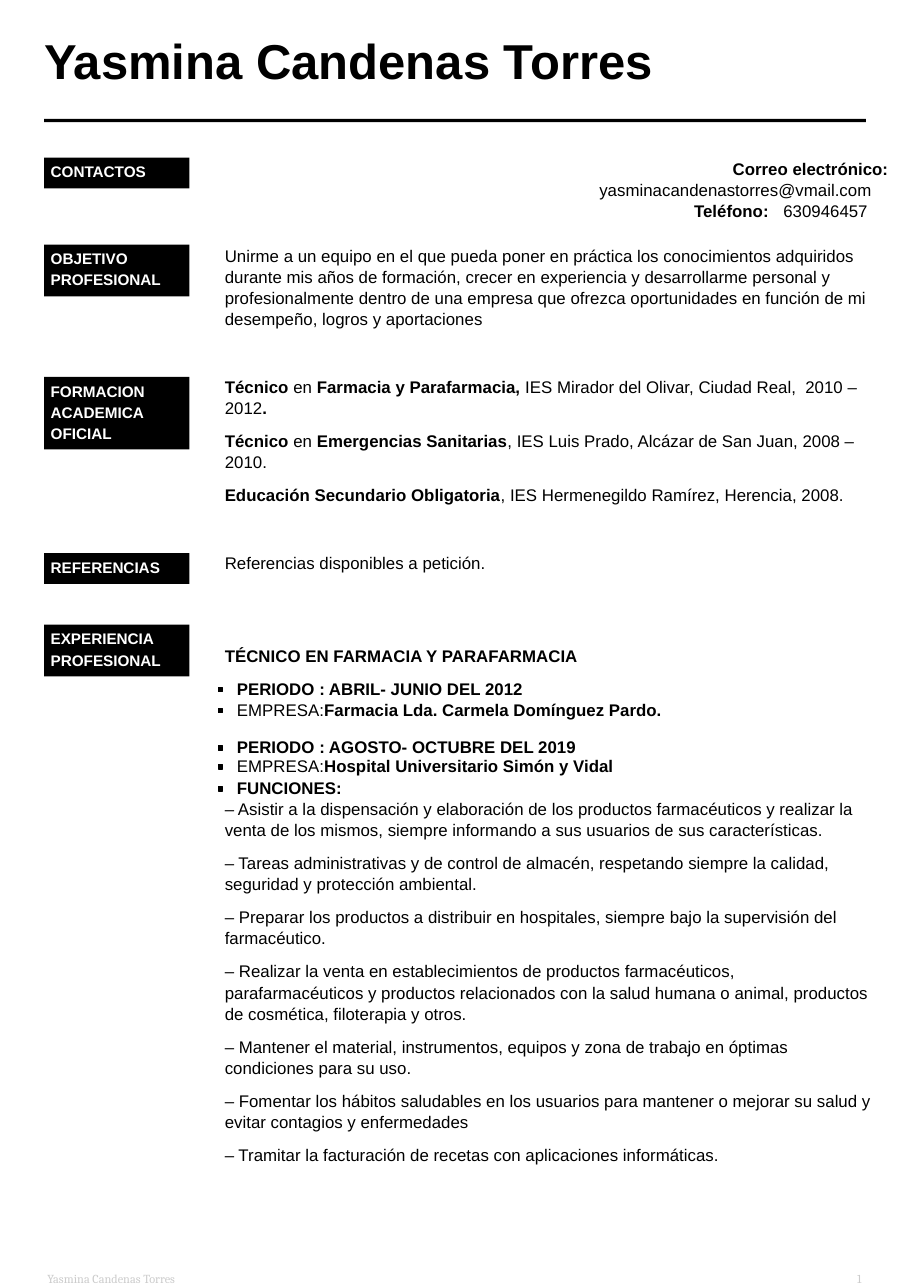
"""Builds a one-page curriculum vitae with section labels, text and bulleted jobs."""
from dataclasses import dataclass
from typing import Any, Optional

from pptx import Presentation
from pptx import util as u
from pptx.dml import color
from pptx.enum import shapes, text

PX = 9144


@dataclass(frozen=True)
class Style:
    size: int
    rgb: str
    font: str = "Arial"
    line: Optional[float] = None
    after: float = 0


@dataclass(frozen=True)
class Theme:
    ink: str = "000000"
    title: Style = Style(32, "000000")
    label: Style = Style(10, "FFFFFF", line=13.8)
    body: Style = Style(11, "000000", line=13.8, after=7.8)
    footer: Style = Style(8, "CCCCCC", "Cambria")


@dataclass(frozen=True)
class Label:
    y: int
    lines: tuple[str, ...]


@dataclass(frozen=True)
class Block:
    x: int
    y: int
    w: int
    style: Style
    paras: tuple[str, ...]


THEME = Theme()
LEFT, BODY_X, BODY_W = 40, 204, 588
LINE_H, LABEL_W, LABEL_PAD = 19, 132, 9
BULLET_X, BULLET_TEXT_X, BULLET_SIZE, BULLET_DROP = 198, 215, 4, 9

LABELS = (
    Label(143, ("CONTACTOS",)),
    Label(222, ("OBJETIVO", "PROFESIONAL")),
    Label(342, ("FORMACION", "ACADEMICA", "OFICIAL")),
    Label(502, ("REFERENCIAS",)),
    Label(567, ("EXPERIENCIA", "PROFESIONAL")),
)

BLOCKS = (
    Block(LEFT, 28, 560, THEME.title, ("*Yasmina Candenas Torres*",)),
    Block(665, 143, 150, THEME.body, ("*Correo electrónico:*",)),
    Block(544, 162, 260, THEME.body, ("yasminacandenastorres@vmail.com",)),
    Block(630, 181, 75, THEME.body, ("*Teléfono:*",)),
    Block(711, 181, 90, THEME.body, ("630946457",)),
    Block(BODY_X, 222, BODY_W, THEME.body, (
        "Unirme a un equipo en el que pueda poner en práctica los conocimientos adquiridos "
        "durante mis años de formación, crecer en experiencia y desarrollarme personal y "
        "profesionalmente dentro de una empresa que ofrezca oportunidades en función de mi "
        "desempeño, logros y aportaciones",
    )),
    Block(BODY_X, 341, BODY_W, THEME.body, (
        "*Técnico* en *Farmacia y Parafarmacia,* IES Mirador del Olivar, Ciudad Real,  2010 – 2012*.*",
        "*Técnico* en *Emergencias Sanitarias*, IES Luis Prado, Alcázar de San Juan, 2008 – 2010.",
        "*Educación Secundario Obligatoria*, IES Hermenegildo Ramírez, Herencia, 2008.",
    )),
    Block(BODY_X, 501, BODY_W, THEME.body, ("Referencias disponibles a petición.",)),
    Block(BODY_X, 585, BODY_W, THEME.body, ("*TÉCNICO EN FARMACIA Y PARAFARMACIA*",)),
    Block(BODY_X, 724, BODY_W, THEME.body, (
        "– Asistir a la dispensación y elaboración de los productos farmacéuticos y realizar la "
        "venta de los mismos, siempre informando a sus usuarios de sus características.",
        "– Tareas administrativas y de control de almacén, respetando siempre la calidad, "
        "seguridad y protección ambiental.",
        "– Preparar los productos a distribuir en hospitales, siempre bajo la supervisión del "
        "farmacéutico.",
        "– Realizar la venta en establecimientos de productos farmacéuticos, parafarmacéuticos "
        "y productos relacionados con la salud humana o animal, productos de cosmética, "
        "filoterapia y otros.",
        "– Mantener el material, instrumentos, equipos y zona de trabajo en óptimas condiciones "
        "para su uso.",
        "– Fomentar los hábitos saludables en los usuarios para mantener o mejorar su salud y "
        "evitar contagios y enfermedades",
        "– Tramitar la facturación de recetas con aplicaciones informáticas.",
    )),
    Block(43, 1154, 150, THEME.footer, ("Yasmina Candenas Torres",)),
    Block(778, 1154, 20, THEME.footer, ("1",)),
)

BULLETS = (
    (615, "*PERIODO : ABRIL- JUNIO DEL 2012*"),
    (634, "EMPRESA:*Farmacia Lda. Carmela Domínguez Pardo.*"),
    (668, "*PERIODO : AGOSTO- OCTUBRE DEL 2019*"),
    (685, "EMPRESA:*Hospital Universitario Simón y Vidal*"),
    (705, "*FUNCIONES:*"),
)


def px(*values: int) -> list[u.Emu]:
    """Turn px lengths into EMU."""
    return [u.Emu(v * PX) for v in values]


def assign(target: Any, values: dict[str, Any]) -> None:
    """Set each named attribute on the target."""
    for name, value in values.items():
        setattr(target, name, value)


def write(tf: Any, paras: tuple[str, ...], style: Style, left: int = 0, top: int = 0) -> None:
    """Fill a text frame; words between asterisks are bold."""
    margin_left, margin_top = px(left, top)
    assign(tf, {"word_wrap": True, "auto_size": text.MSO_AUTO_SIZE.NONE,
                "vertical_anchor": text.MSO_ANCHOR.TOP,
                "margin_left": margin_left, "margin_top": margin_top,
                "margin_right": 0, "margin_bottom": 0})
    for i, para in enumerate(paras):
        p = tf.add_paragraph() if i else tf.paragraphs[0]
        assign(p, {"alignment": text.PP_ALIGN.LEFT, "space_after": u.Pt(style.after),
                   "line_spacing": u.Pt(style.line) if style.line else None})
        for j, part in enumerate(para.split("*")):
            if part:
                r = p.add_run()
                r.text = part
                assign(r.font, {"name": style.font, "size": u.Pt(style.size), "bold": j % 2 == 1})
                r.font.color.rgb = color.RGBColor.from_string(style.rgb)


def add_box(s: Any, x: int, y: int, w: int, h: int, outline: float = 0) -> Any:
    """Draw a solid rectangle in the ink colour."""
    sp = s.shapes.add_shape(shapes.MSO_SHAPE.RECTANGLE, *px(x, y, w, h))
    sp.shadow.inherit = False
    ink = color.RGBColor.from_string(THEME.ink)
    sp.fill.solid()
    sp.fill.fore_color.rgb = ink
    if outline:
        sp.line.color.rgb = ink
        sp.line.width = u.Pt(outline)
    else:
        sp.line.fill.background()
    return sp


def add_label(s: Any, label: Label) -> None:
    """Draw a section label sized to its lines."""
    sp = add_box(s, LEFT, label.y, LABEL_W, LABEL_PAD + LINE_H * len(label.lines))
    write(sp.text_frame, tuple(f"*{line}*" for line in label.lines), THEME.label, 6, 2)


def add_block(s: Any, block: Block) -> None:
    """Place a block of paragraphs."""
    h = LINE_H * len(block.paras)
    sp = s.shapes.add_textbox(*px(block.x, block.y, block.w, h))
    write(sp.text_frame, block.paras, block.style)


def main() -> None:
    """Build and save the page."""
    prs = Presentation()
    prs.slide_width, prs.slide_height = px(826, 1169)
    s = prs.slides.add_slide(prs.slide_layouts[6])
    add_box(s, LEFT, 108, 746, 3)
    for label in LABELS:
        add_label(s, label)
    for block in BLOCKS:
        add_block(s, block)
    for y, line in BULLETS:
        add_box(s, BULLET_X, y + BULLET_DROP, BULLET_SIZE, BULLET_SIZE, 0.77)
        add_block(s, Block(BULLET_TEXT_X, y, 500, THEME.body, (line,)))
    prs.save("out.pptx")


if __name__ == "__main__":
    main()
